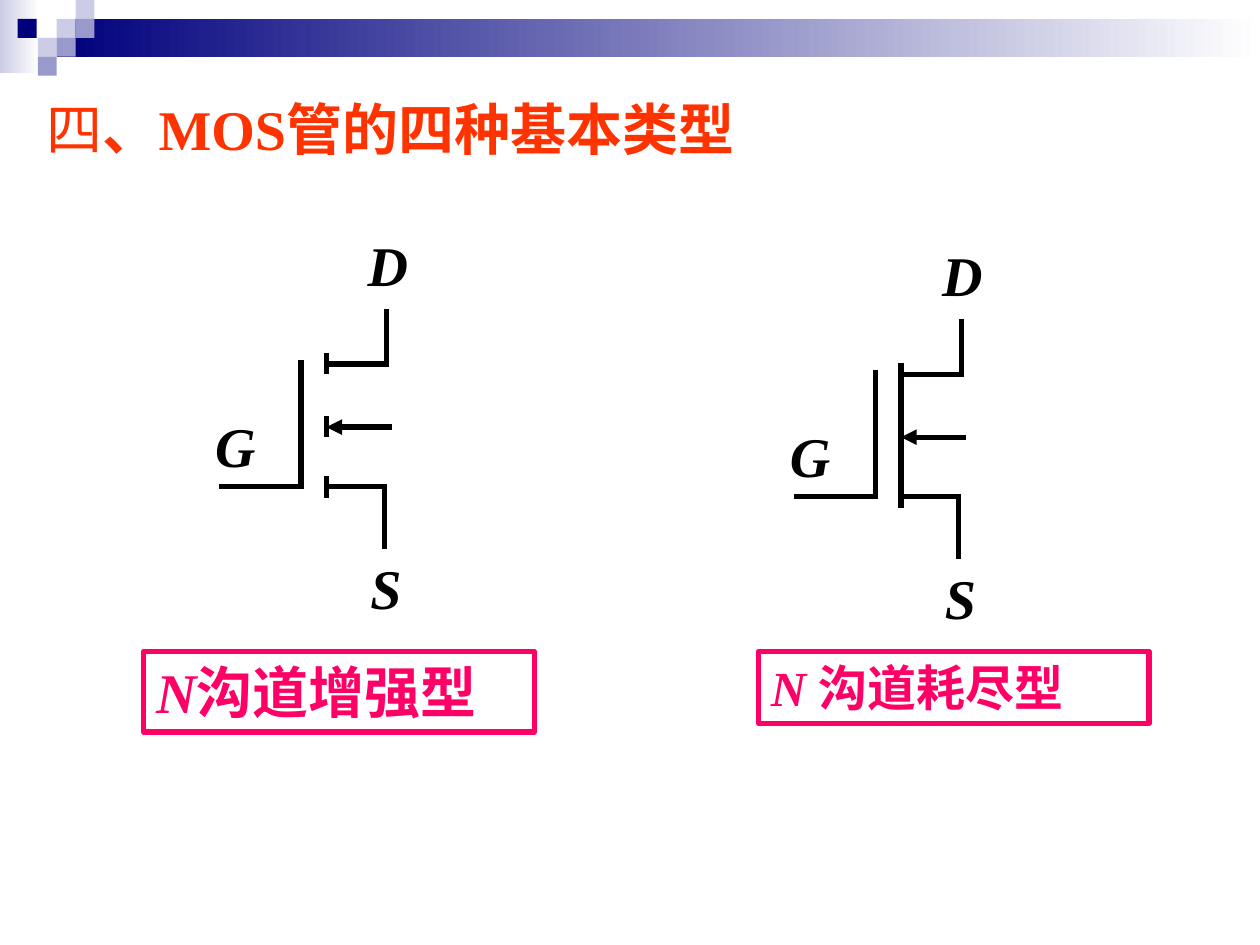
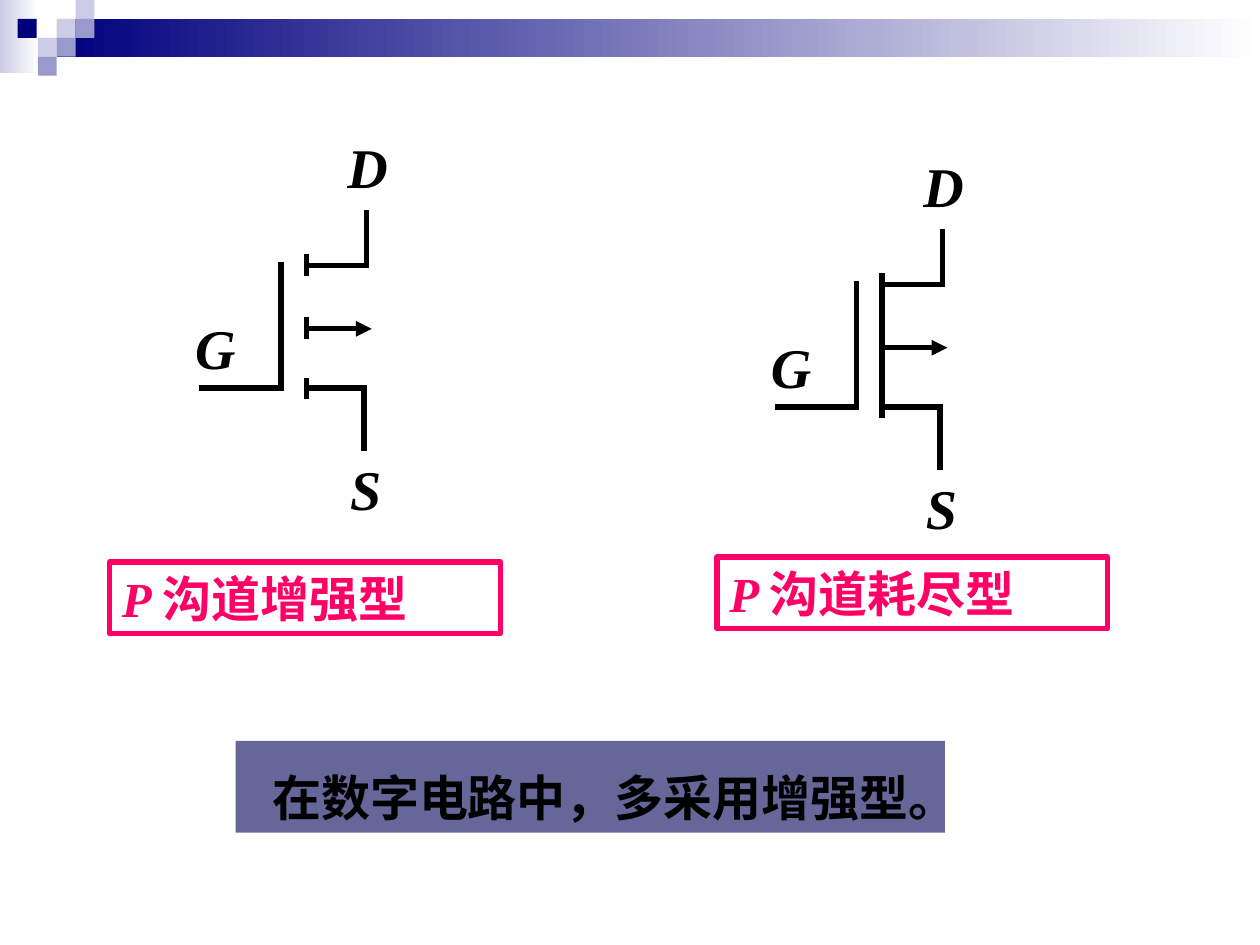
from lxml import etree
from pptx import Presentation
from pptx.dml.color import RGBColor
from pptx.enum.shapes import MSO_CONNECTOR, MSO_SHAPE
from pptx.enum.text import PP_ALIGN
from pptx.oxml.ns import qn
from pptx.util import Inches, Pt

RECT = MSO_SHAPE.RECTANGLE
STRAIGHT = MSO_CONNECTOR.STRAIGHT
CENTER = PP_ALIGN.CENTER

SERIF, SANS = "Times New Roman", "DejaVu Sans"
BLACK, WHITE, RED, PINK, SLATE = "000000", "FFFFFF", "FF3300", "FF0066", "666699"
NAVY, LILAC, VIOLET = "00007D", "CCCCE6", "9999CC"

# Header: gradient bands, then the mosaic of small squares
BANDS = [((0, 0, 0.31, 0.58), LILAC), ((0.45, 0.15, 9.55, 0.3), NAVY)]
TILE = 0.15
TILES = [(0.45, 0.15, LILAC), (0.6, 0, LILAC), (0.6, 0.15, VIOLET),
         (0.3, 0.3, LILAC), (0.14, 0.15, NAVY), (0.45, 0.3, VIOLET),
         (0.3, 0.45, VIOLET)]

# Transistor symbol, measured from the top of its gate
WIRES = [
    (0, 0, 0, 1), (0.02, 1, -0.65, 1),              # gate
    (0.18, 0.03, 0.7, 0.03), (0.68, 0.05, 0.68, -0.41),  # drain
    (0.2, 1, 0.68, 1), (0.66, 0.98, 0.66, 1.5),     # source
]
CHANNEL_X = 0.2
CHANNEL_MARKS = [-0.06, 0.44, 0.92]
MARK_LENGTH = 0.17
DEPLETION_CHANNEL = (CHANNEL_X, -0.02, CHANNEL_X, 1)
SUBSTRATE = (CHANNEL_X, 0.53, 0.72, 0.53)
PINS = [("G", -0.78, 0.36, 0.67), ("S", 0.45, 1.48, 0.69), ("D", 0.43, -1.08, 0.77)]
ARROW_END = {"N": "a:headEnd", "P": "a:tailEnd"}

TITLE = [("四", SANS, False), ("、", SANS, True),
         ("MOS管的四种基本类型", SERIF, True)]
CONCLUSION = "在数字电路中，多采用增强型。"

# gate top, channel letter, gap after it, type, caption box, caption size
SLIDES = [
    {"title": TITLE, "transistors": [
        ((6.95, 2.94), "N", " ", "沟道耗尽型", (6.02, 5.17, 3.1, 0.57), 28),
        ((2.39, 2.86), "N", "", "沟道增强型", (1.14, 5.17, 3.1, 0.64), 32)]},
    {"conclusion": CONCLUSION, "transistors": [
        ((2.23, 2.08), "P", " ", "沟道增强型", (0.87, 4.46, 3.1, 0.57), 28),
        ((6.8, 2.23), "P", " ", "沟道耗尽型", (5.69, 4.42, 3.1, 0.57), 28)]},
]


def rgb(color):
    return RGBColor.from_string(color)


def add_rect(shapes, box, color, fade=False):
    """Borderless rectangle, plain or fading to white on the right."""
    sp = shapes.add_shape(RECT, *map(Inches, box))
    sp.shadow.inherit = False
    sp.line.fill.background()
    if fade:
        sp.fill.gradient()
        sp.fill.gradient_angle = 0
        for stop, c in zip(sp.fill.gradient_stops, (color, WHITE)):
            stop.color.rgb = rgb(c)
    else:
        sp.fill.solid()
        sp.fill.fore_color.rgb = rgb(color)


def add_text(shapes, box, runs, size, color):
    """Text box from (text, font, bold, italic) runs."""
    sp = shapes.add_textbox(*map(Inches, box))
    sp.text_frame.word_wrap = True
    p = sp.text_frame.paragraphs[0]
    p.font.size = Pt(size)
    for text, name, bold, italic in runs:
        r = p.add_run()
        r.text = text
        f = r.font
        f.name, f.size, f.bold, f.italic = name, Pt(size), bold, italic
        f.color.rgb = rgb(color)
    return sp


def add_wire(shapes, origin, wire, arrow=None):
    x, y = origin
    x1, y1, x2, y2 = wire
    line = shapes.add_connector(STRAIGHT, Inches(x + x1), Inches(y + y1),
                                Inches(x + x2), Inches(y + y2))
    line.line.color.rgb = rgb(BLACK)
    line.line.width = Pt(3)
    if arrow:
        etree.SubElement(line.line._get_or_add_ln(), qn(arrow), type="triangle")
    etree.SubElement(line._element.spPr, qn("a:effectLst"))


def add_transistor(s, gate, letter, gap, kind, caption_box, caption_size):
    shapes = s.shapes.add_group_shape().shapes
    marks = [(CHANNEL_X, y, CHANNEL_X, y + MARK_LENGTH) for y in CHANNEL_MARKS]
    channel = [DEPLETION_CHANNEL] if "耗尽" in kind else []
    for wire in WIRES + marks + channel:
        add_wire(shapes, gate, wire)
    add_wire(shapes, gate, SUBSTRATE, ARROW_END[letter])
    for pin, dx, dy, width in PINS:
        add_text(shapes, (gate[0] + dx, gate[1] + dy, width, 0.64),
                 [(pin, SERIF, True, True)], 32, BLACK)
    caption = add_text(shapes, caption_box,
                       [(letter + gap, SERIF, True, True), (kind, SERIF, True, False)],
                       caption_size, PINK)
    caption.line.color.rgb = rgb(PINK)
    caption.line.width = Pt(3)


def add_conclusion(s, text):
    sp = add_text(s.shapes, (1.87, 5.88, 5.63, 0.73),
                  [(text, SERIF, True, False)], 28, BLACK)
    sp.fill.solid()
    sp.fill.fore_color.rgb = rgb(SLATE)
    sp.text_frame.word_wrap = False
    p = sp.text_frame.paragraphs[0]
    p.alignment = CENTER
    p.line_spacing = 1.35


def add_header(s):
    for box, color in BANDS:
        add_rect(s.shapes, box, color, fade=True)
    for x, y, color in TILES:
        add_rect(s.shapes, (x, y, TILE, TILE), color)


def main():
    prs = Presentation()
    prs.slide_width, prs.slide_height = Inches(10), Inches(7.5)
    for content in SLIDES:
        s = prs.slides.add_slide(prs.slide_layouts[6])
        add_header(s)
        if "title" in content:
            runs = [(*run, False) for run in content["title"]]
            add_text(s.shapes, (0.27, 0.7, 6.38, 0.64), runs, 32, RED)
        for transistor in content["transistors"]:
            add_transistor(s, *transistor)
        if "conclusion" in content:
            add_conclusion(s, content["conclusion"])
    prs.save("out.pptx")


if __name__ == "__main__":
    main()
